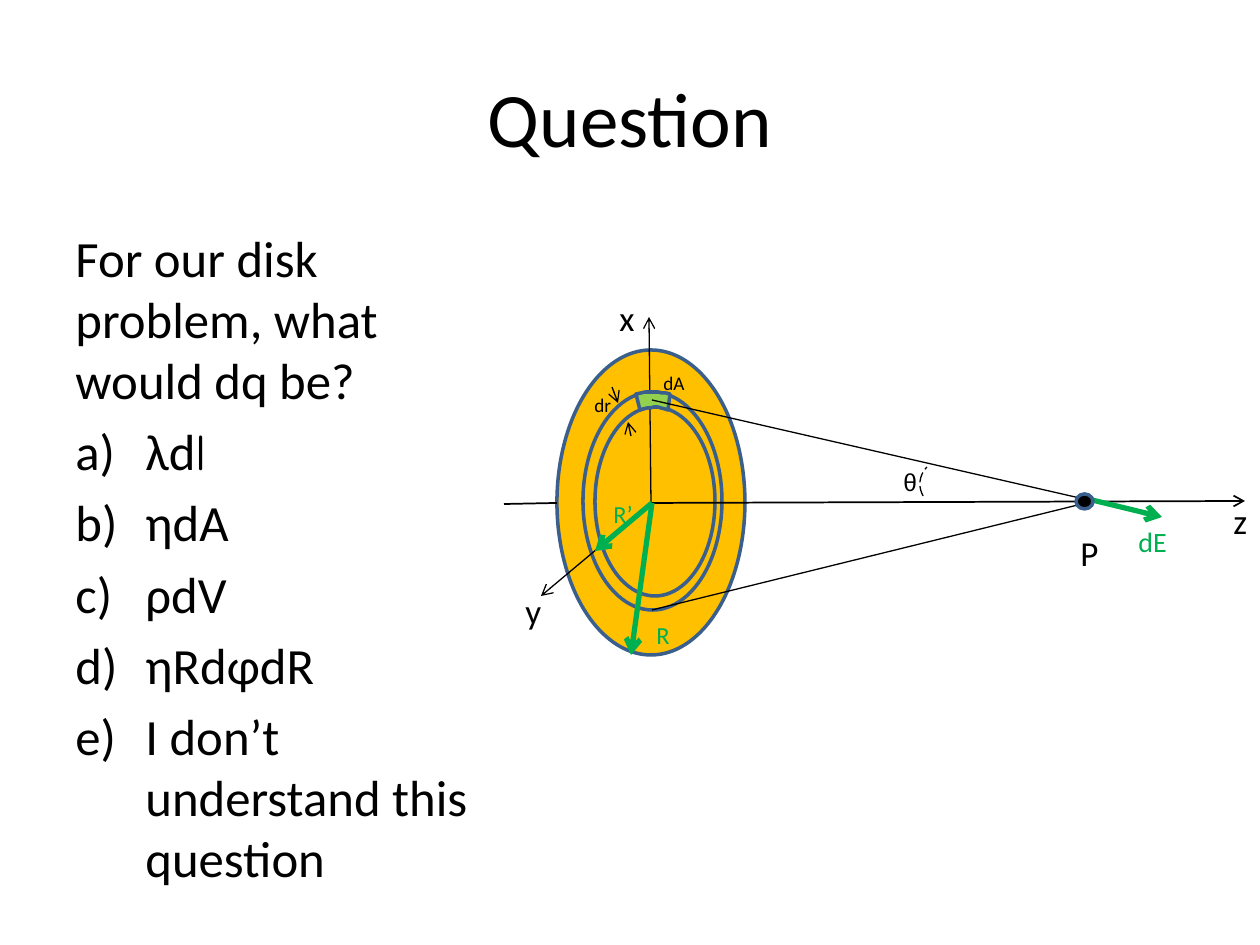
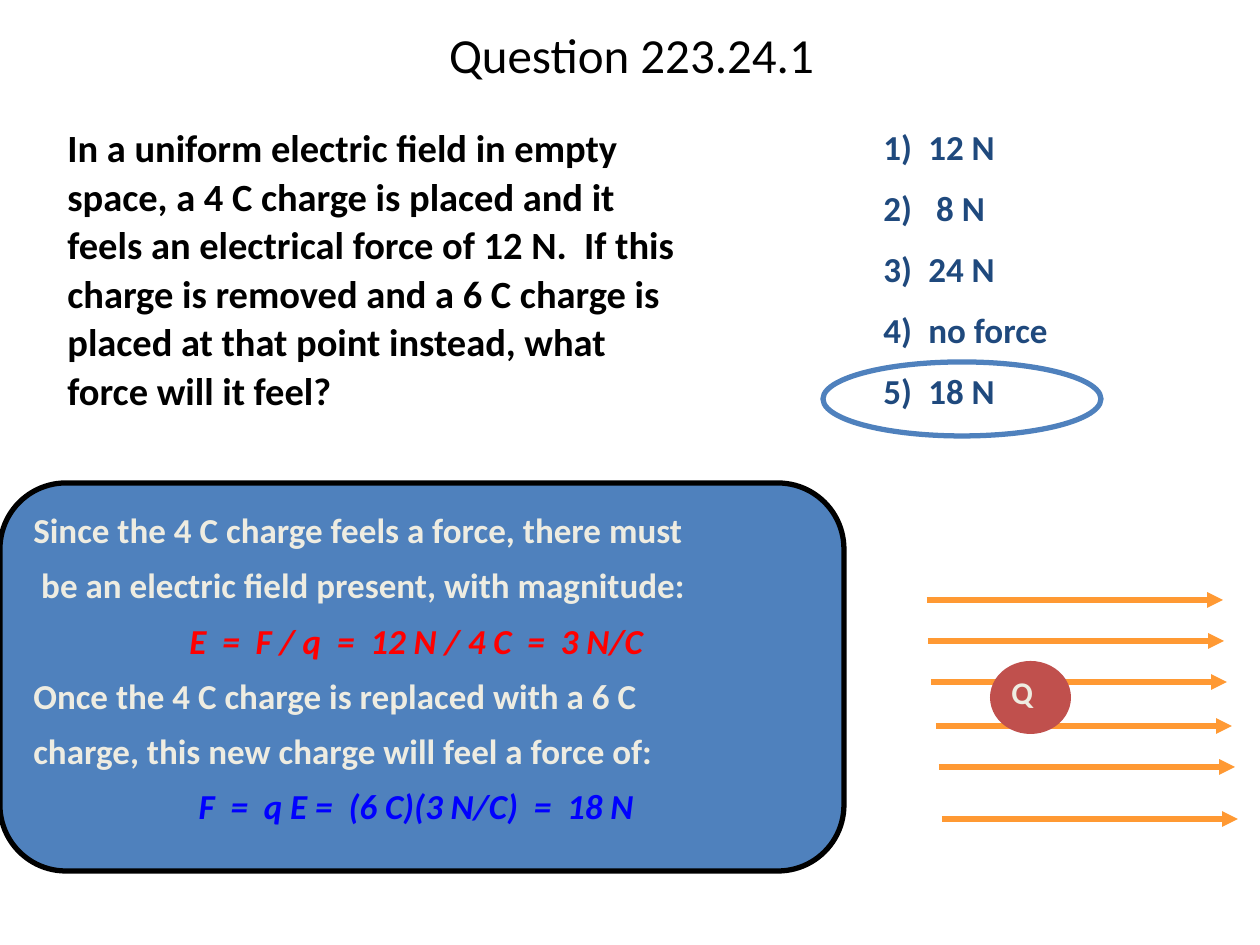
from pptx import Presentation
from pptx.dml.color import RGBColor
from pptx.enum.dml import MSO_LINE
from pptx.enum.shapes import MSO_CONNECTOR, MSO_SHAPE
from pptx.enum.text import MSO_ANCHOR, PP_ALIGN
from pptx.oxml.ns import qn
from pptx.util import Pt

# Shared style
PX = 914400 / 126
FONT = "Calibri"
BLACK = RGBColor(0x00, 0x00, 0x00)
CREAM = RGBColor(0xEE, 0xEC, 0xE1)
NAVY = RGBColor(0x1F, 0x49, 0x7D)
BLUE = RGBColor(0x4F, 0x81, 0xBD)
EDGE = RGBColor(0x3A, 0x5F, 0x8C)
GOLD = RGBColor(0xFF, 0xC0, 0x00)
LIME = RGBColor(0x92, 0xD0, 0x50)
GREEN = RGBColor(0x00, 0xB0, 0x50)
ORANGE = RGBColor(0xFF, 0x99, 0x33)
BRICK = RGBColor(0xC0, 0x50, 0x4D)
RED = RGBColor(0xFF, 0x00, 0x00)
PURE_BLUE = RGBColor(0x00, 0x00, 0xFF)

# Slide 1: disk question
DISK_QUESTION = "For our disk problem, what would dq be?"
DISK_CHOICES = [
    [("λd", FONT), ("l", "Comic Neue")],
    [("ηdA", FONT)],
    [("ρdV", FONT)],
    [("ηRdφdR", FONT)],
    [("I don’t understand this question", FONT)],
]
RINGS = [(557, 350, 188, 305), (583, 392, 139, 218), (595, 407, 120, 189)]
POINT_P = (1076, 494, 17, 15)
# from, to, colour, points wide, arrowhead
AXES = [
    ((650, 503), (1245, 501), BLACK, 1, "arrow"),
    ((504, 504), (557, 503), BLACK, 1, None),
    ((651, 502), (649, 317), BLACK, 0.75, "arrow"),
    ((652, 503), (541, 596), BLACK, 0.75, "arrow"),
]
RAYS = [
    ((1090, 502), (652, 610), BLACK, 0.75, None),
    ((1097, 502), (652, 400), BLACK, 0.75, None),
    ((1092, 500), (1162, 517), GREEN, 3, "arrow"),
    ((652, 503), (595, 551), GREEN, 3, "arrow"),
    ((652, 503), (631, 655), GREEN, 3, "arrow"),
    ((612, 387), (618, 403), BLACK, 0.75, "arrow"),
    ((631, 436), (628, 422), BLACK, 0.75, "arrow"),
]
PATCH_TOP = [(636, 394), (649, 391), (659, 392), (670, 394)]
PATCH_BOTTOM = [(668, 410), (659, 406), (649, 407), (640, 410)]
ANGLE_ARC = {"box": (920, 460, 48, 48), "degrees": (150, 225)}
# text, box, size, colour, font
LABELS = [
    ("x", (607, 290, 40, 55), 20, BLACK, FONT),
    ("y", (513, 583, 42, 55), 20, BLACK, FONT),
    ("z", (1221, 493, 39, 55), 20, BLACK, FONT),
    ("P", (1068, 525, 44, 55), 20, BLACK, FONT),
    ("θ", (891, 461, 48, 43), 14, BLACK, "Arial"),
    ("R", (644, 614, 39, 43), 14, GREEN, FONT),
    ("R’", (601, 493, 45, 43), 14, GREEN, FONT),
    ("dE", (1126, 518, 54, 47), 16, GREEN, FONT),
    ("dr", (582, 387, 43, 37), 11, BLACK, FONT),
    ("dA", (651, 365, 47, 37), 11, BLACK, FONT),
]

# Slide 2: uniform field question
FIELD_QUESTION = (
    "In a uniform electric field in empty space, a 4 C charge is placed and it "
    "feels an electrical force of 12 N.  If this charge is removed and a 6 C "
    "charge is placed at that point instead, what force will it feel?"
)
FIELD_CHOICES = ["12 N", " 8 N", "24 N", "no force", "18 N"]
# text, formula colour (None for plain lines)
SOLUTION = [
    ("Since the 4 C charge feels a force, there must", None),
    (" be an electric field present, with magnitude:", None),
    ("E  =  F / q  =  12 N / 4 C  =  3 N/C", RED),
    ("Once the 4 C charge is replaced with a 6 C", None),
    ("charge, this new charge will feel a force of:", None),
    ("F  =  q E =  (6 C)(3 N/C)  =  18 N", PURE_BLUE),
]
FIELD_STARTS = [(927, 600), (928, 641), (931, 682), (936, 726), (939, 767), (942, 819)]
FIELD_LENGTH = 296


def emu(values):
    return [round(v * PX) for v in values]


def add_run(p, text, size, color=BLACK, font=FONT, **extra):
    r = p.add_run()
    r.text = text
    r.font.color.rgb = color
    for name, value in {"size": Pt(size), "name": font, **extra}.items():
        setattr(r.font, name, value)


def next_paragraph(tf, gap=0, spacing=1.0, align=PP_ALIGN.LEFT):
    first = not tf.paragraphs[0].runs
    p = tf.paragraphs[0] if first else tf.add_paragraph()
    values = {"space_before": Pt(0 if first else gap), "line_spacing": spacing, "alignment": align}
    for name, value in values.items():
        setattr(p, name, value)
    return p


def hang(p, px):
    """Hanging indent for a list item."""
    ppr = p._p.get_or_add_pPr()
    ppr.set("marL", str(round(px * PX)))
    ppr.set("indent", str(-round(px * PX)))
    return ppr


def add_text(s, box, wrap=True):
    tf = s.shapes.add_textbox(*emu(box)).text_frame
    tf.word_wrap = wrap
    return tf


def set_title(s, text, box, size, spacing=1.0):
    title = s.shapes.title
    title.left, title.top, title.width, title.height = emu(box)
    tf = title.text_frame
    tf.vertical_anchor = MSO_ANCHOR.MIDDLE
    add_run(next_paragraph(tf, spacing=spacing, align=PP_ALIGN.CENTER), text, size)


def paint(sp, fill=None, line=None, width=2):
    sp.shadow.inherit = False
    if fill is None:
        sp.fill.background()
    else:
        sp.fill.solid()
        sp.fill.fore_color.rgb = fill
    if line is None:
        sp.line.fill.background()
    else:
        sp.line.color.rgb = line
        sp.line.width = Pt(width)
    return sp


def add_shape(s, kind, box, **look):
    return paint(s.shapes.add_shape(kind, *emu(box)), **look)


def add_line(s, start, end, color, width, head=None):
    c = s.shapes.add_connector(MSO_CONNECTOR.STRAIGHT, *emu(start + end))
    c.line.color.rgb = color
    c.line.width = Pt(width)
    if head:
        ln = c.line._get_or_add_ln()
        ln.append(ln.makeelement(qn("a:tailEnd"), {"type": head}))
    sppr = c._element.spPr
    sppr.append(sppr.makeelement(qn("a:effectLst"), {}))


def curve(points, steps=8):
    """Points along a cubic Bezier curve."""
    result = []
    for i in range(steps + 1):
        t = i / steps
        weights = ((1 - t) ** 3, 3 * t * (1 - t) ** 2, 3 * t * t * (1 - t), t ** 3)
        result.append(tuple(sum(w * pt[k] for w, pt in zip(weights, points)) for k in (0, 1)))
    return result


def build_disk_slide(s):
    set_title(s, "Question", (63, 38, 1134, 158), 44)

    # Question and lettered choices
    tf = add_text(s, (63, 221, 450, 624))
    add_run(next_paragraph(tf), DISK_QUESTION, 29)
    for parts in DISK_CHOICES:
        p = next_paragraph(tf, gap=5.8)
        ppr = hang(p, 70)
        ppr.append(ppr.makeelement(qn("a:buFont"), {"typeface": FONT}))
        ppr.append(ppr.makeelement(qn("a:buAutoNum"), {"type": "alphaLcParenR"}))
        for text, font in parts:
            add_run(p, text, 29, font=font)

    # Disk, axes and the area element
    for ring in RINGS:
        add_shape(s, MSO_SHAPE.OVAL, ring, fill=GOLD, line=EDGE)
    for axis in AXES:
        add_line(s, *axis)
    outline = curve(PATCH_TOP) + curve(PATCH_BOTTOM)
    builder = s.shapes.build_freeform(*outline[0], scale=PX)
    builder.add_line_segments(outline[1:], close=True)
    paint(builder.convert_to_shape(), fill=LIME, line=EDGE)

    # Rays, field point and angle
    for ray in RAYS:
        add_line(s, *ray)
    add_shape(s, MSO_SHAPE.OVAL, POINT_P, fill=BLACK, line=EDGE)
    arc = add_shape(s, MSO_SHAPE.ARC, ANGLE_ARC["box"], line=BLACK, width=0.75)
    arc.line.dash_style = MSO_LINE.LONG_DASH
    for i, degrees in enumerate(ANGLE_ARC["degrees"]):
        arc.adjustments[i] = degrees * 0.6

    for text, box, size, color, font in LABELS:
        add_run(next_paragraph(add_text(s, box, wrap=False)), text, size, color, font)


def build_field_slide(s):
    set_title(s, "Question 223.24.1", (129, 0, 1005, 116), 28, 0.9)

    # Question and numbered choices
    tf = add_text(s, (55, 116, 639, 328))
    add_run(next_paragraph(tf, spacing=1.05), FIELD_QUESTION, 22, bold=True)
    add_shape(s, MSO_SHAPE.OVAL, (823, 362, 278, 74), line=BLUE, width=3)
    tf = add_text(s, (871, 111, 389, 338))
    for number, choice in enumerate(FIELD_CHOICES, 1):
        p = next_paragraph(tf, gap=6, spacing=1.2)
        hang(p, 45)
        add_run(p, f"{number})\t{choice}", 20, NAVY, bold=True)

    # Worked solution
    panel = add_shape(s, MSO_SHAPE.ROUNDED_RECTANGLE, (0, 483, 844, 388), fill=BLUE, line=BLACK, width=3)
    panel.adjustments[0] = 0.17
    tf = add_text(s, (21, 507, 791, 345))
    for text, formula in SOLUTION:
        align = PP_ALIGN.CENTER if formula else PP_ALIGN.LEFT
        p = next_paragraph(tf, gap=10, spacing=0.9, align=align)
        add_run(p, text, 20, formula or CREAM, bold=True, italic=bool(formula))

    # Field lines and charge
    for x, y in FIELD_STARTS:
        add_line(s, (x, y), (x + FIELD_LENGTH, y), ORANGE, 3, "triangle")
    add_shape(s, MSO_SHAPE.OVAL, (990, 661, 81, 73), fill=BRICK)
    label = add_text(s, (999, 667, 58, 63), wrap=False)
    add_run(next_paragraph(label), "Q", 18, CREAM, bold=True)


def main():
    prs = Presentation()
    prs.slide_width, prs.slide_height = emu((1260, 945))
    for build in (build_disk_slide, build_field_slide):
        build(prs.slides.add_slide(prs.slide_layouts[5]))
    prs.save("out.pptx")


if __name__ == "__main__":
    main()
